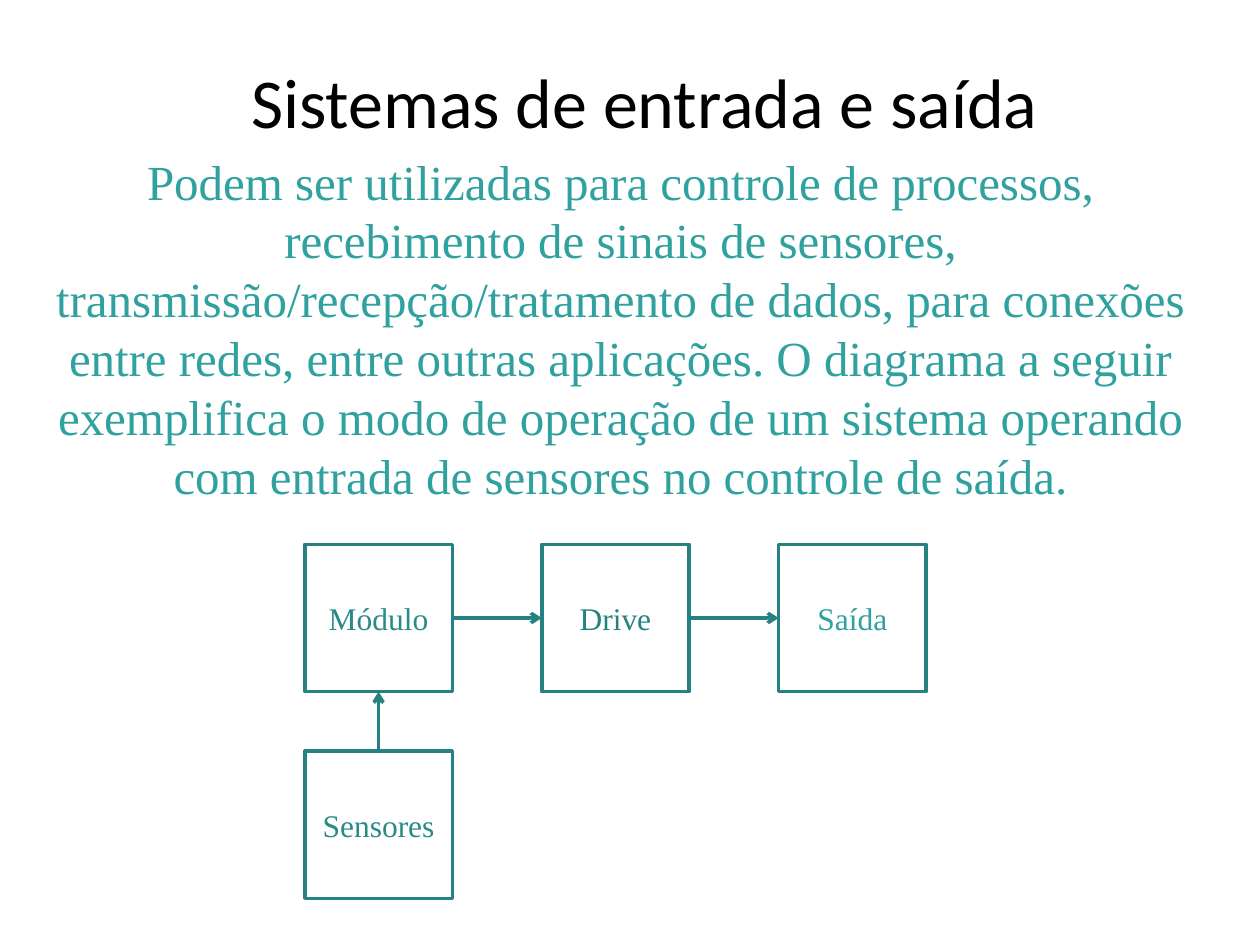
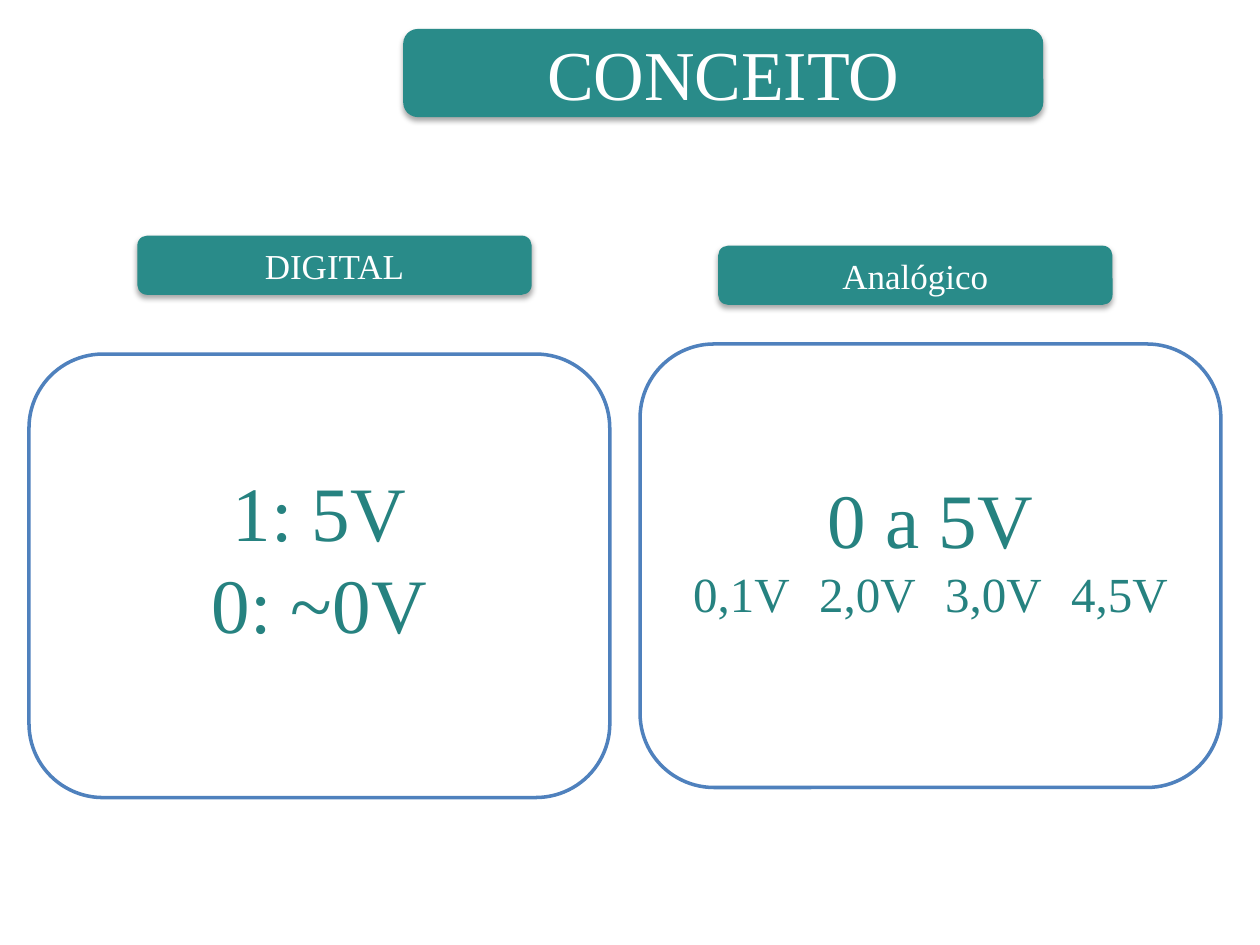
from lxml import etree
from pptx import Presentation
from pptx.dml.color import RGBColor
from pptx.enum import shapes, text
from pptx.oxml import ns
from pptx.util import Inches, Pt

SERIF, SANS = "Times New Roman", "Calibri"
TEAL, DARK_TEAL, LIGHT_TEAL = "298B89", "268280", "2FA19E"
WHITE, BLACK, BLUE = "FFFFFF", "000000", "4F81BD"
LINE_WIDTH = 2


def color(value):
    return RGBColor.from_string(value)


def add_element(parent, tag, **attributes):
    element = etree.SubElement(parent, ns.qn(tag))
    for name, value in attributes.items():
        element.set(name, str(value))
    return element


def write(shape, lines, font_color, font=SERIF, anchor=text.MSO_ANCHOR.MIDDLE):
    """Fill a shape with centred paragraphs given as (wording, size) pairs."""
    frame = shape.text_frame
    frame.word_wrap = True
    frame.vertical_anchor = anchor
    frame.text = "\n".join(wording for wording, _ in lines)
    for paragraph, (_, size) in zip(frame.paragraphs, lines):
        paragraph.alignment = text.PP_ALIGN.CENTER
        for run in paragraph.runs:
            run.font.name = font
            run.font.size = Pt(size)
            run.font.color.rgb = color(font_color)


def add_text(slide, box, wording, size, font_color, **style):
    shape = slide.shapes.add_textbox(*map(Inches, box))
    write(shape, [(wording, size)], font_color, **style)
    return shape


def add_box(slide, kind, box, fill, line=None):
    shape = slide.shapes.add_shape(kind, *map(Inches, box))
    shape.shadow.inherit = False
    shape.fill.solid()
    shape.fill.fore_color.rgb = color(fill)
    if line:
        shape.line.color.rgb = color(line)
        shape.line.width = Pt(LINE_WIDTH)
    else:
        shape.line.fill.background()
    return shape


def add_arrow(slide, start, end):
    arrow = slide.shapes.add_connector(
        shapes.MSO_CONNECTOR.STRAIGHT, *map(Inches, (*start, *end)))
    arrow.line.color.rgb = color(DARK_TEAL)
    arrow.line.width = Pt(LINE_WIDTH)
    line = arrow._element.spPr.find(ns.qn("a:ln"))
    add_element(line, "a:tailEnd", type="arrow")
    add_element(arrow._element.spPr, "a:effectLst")


def add_banner(slide, box, wording, size):
    """Rounded teal label with a soft shadow below it."""
    banner = add_box(slide, shapes.MSO_SHAPE.ROUNDED_RECTANGLE, box, TEAL)
    effects = banner._element.spPr.find(ns.qn("a:effectLst"))
    shadow = add_element(effects, "a:outerShdw", blurRad=Pt(3.1), dist=Pt(1.8),
                         dir=90 * 60000, rotWithShape=0)
    shadow_color = add_element(shadow, "a:srgbClr", val=BLACK)
    add_element(shadow_color, "a:alpha", val=35000)
    write(banner, [(wording, size)], WHITE)


def add_panel(slide, left, top, lines):
    panel = add_box(slide, shapes.MSO_SHAPE.ROUNDED_RECTANGLE,
                    (left, top, 4.61, 3.52), WHITE, BLUE)
    write(panel, lines, DARK_TEAL)
    panel.text_frame.margin_bottom = Inches(0.35)


def add_block_diagram(slide, left, top):
    """Chain of blocks from left to right, fed from below by the sensors."""
    side, column_step, row_step = 1.17, 1.88, 1.64
    blocks = [("Módulo", 0, 0, TEAL), ("Drive", 1, 0, DARK_TEAL),
              ("Saída", 2, 0, LIGHT_TEAL), ("Sensores", 0, 1, TEAL)]
    for name, column, row, font_color in blocks:
        box = (left + column * column_step, top + row * row_step, side, side)
        block = add_box(slide, shapes.MSO_SHAPE.RECTANGLE, box, WHITE, DARK_TEAL)
        block.text_frame.margin_left = block.text_frame.margin_right = 0
        write(block, [(name, 18)], font_color)
    middle = top + side / 2
    for column in range(2):
        start = left + column * column_step + side
        add_arrow(slide, (start, middle), (start + column_step - side, middle))
    center = left + side / 2
    add_arrow(slide, (center, top + row_step), (center, top + side))


def build_systems_slide(slide):
    title = add_text(slide, (0.35, 0.29, 9.65, 1.02),
                     "Sistemas de entrada e saída", 40, BLACK, font=SANS)
    title.text_frame.margin_right = Inches(0.22)
    add_text(slide, (0.2, 1.15, 9.45, 3),
             "Podem ser utilizadas para controle de processos, recebimento de "
             "sinais de sensores, transmissão/recepção/tratamento de dados, para "
             "conexões entre redes, entre outras aplicações. O diagrama a seguir "
             "exemplifica o modo de operação de um sistema operando com entrada "
             "de sensores no controle de saída.",
             28, LIGHT_TEAL, anchor=text.MSO_ANCHOR.TOP)
    add_block_diagram(slide, 2.42, 4.32)


def build_concept_slide(slide):
    add_banner(slide, (3.2, 0.23, 5.08, 0.7), "CONCEITO", 40)
    add_banner(slide, (1.09, 1.87, 3.13, 0.47), "DIGITAL", 20)
    add_banner(slide, (5.7, 1.95, 3.13, 0.47), "Analógico", 20)
    add_panel(slide, 0.23, 2.81, [("1: 5V", 44), ("0: ~0V", 44)])
    voltages = "\t".join(["0,1V", "2,0V", "3,0V", "4,5V"])
    add_panel(slide, 5.08, 2.73, [("0 a 5V", 44), (voltages, 28)])


def main():
    presentation = Presentation()
    presentation.slide_width = Inches(10)
    presentation.slide_height = Inches(7.5)
    blank = presentation.slide_layouts[6]
    for build in (build_systems_slide, build_concept_slide):
        build(presentation.slides.add_slide(blank))
    presentation.save("out.pptx")


if __name__ == "__main__":
    main()
